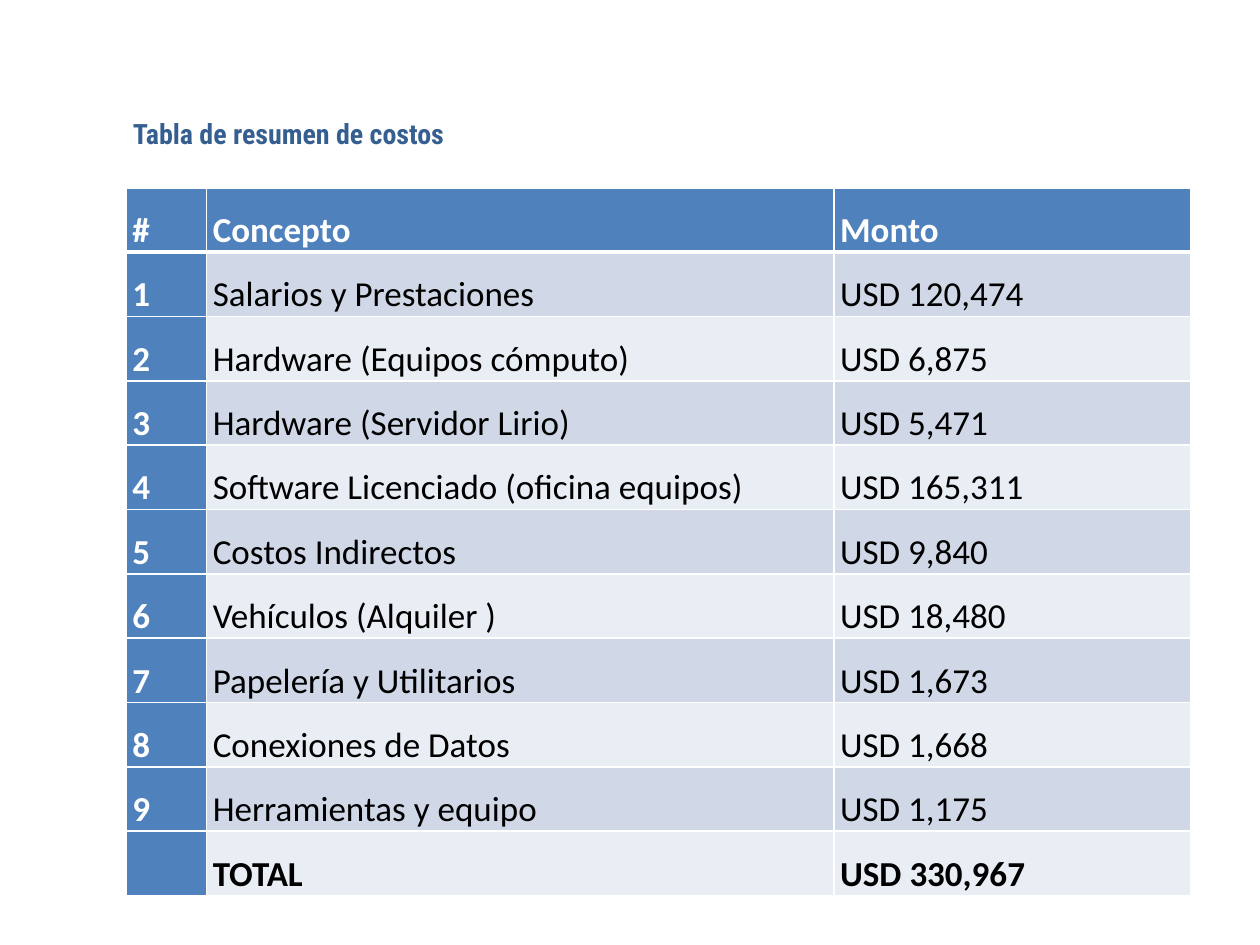
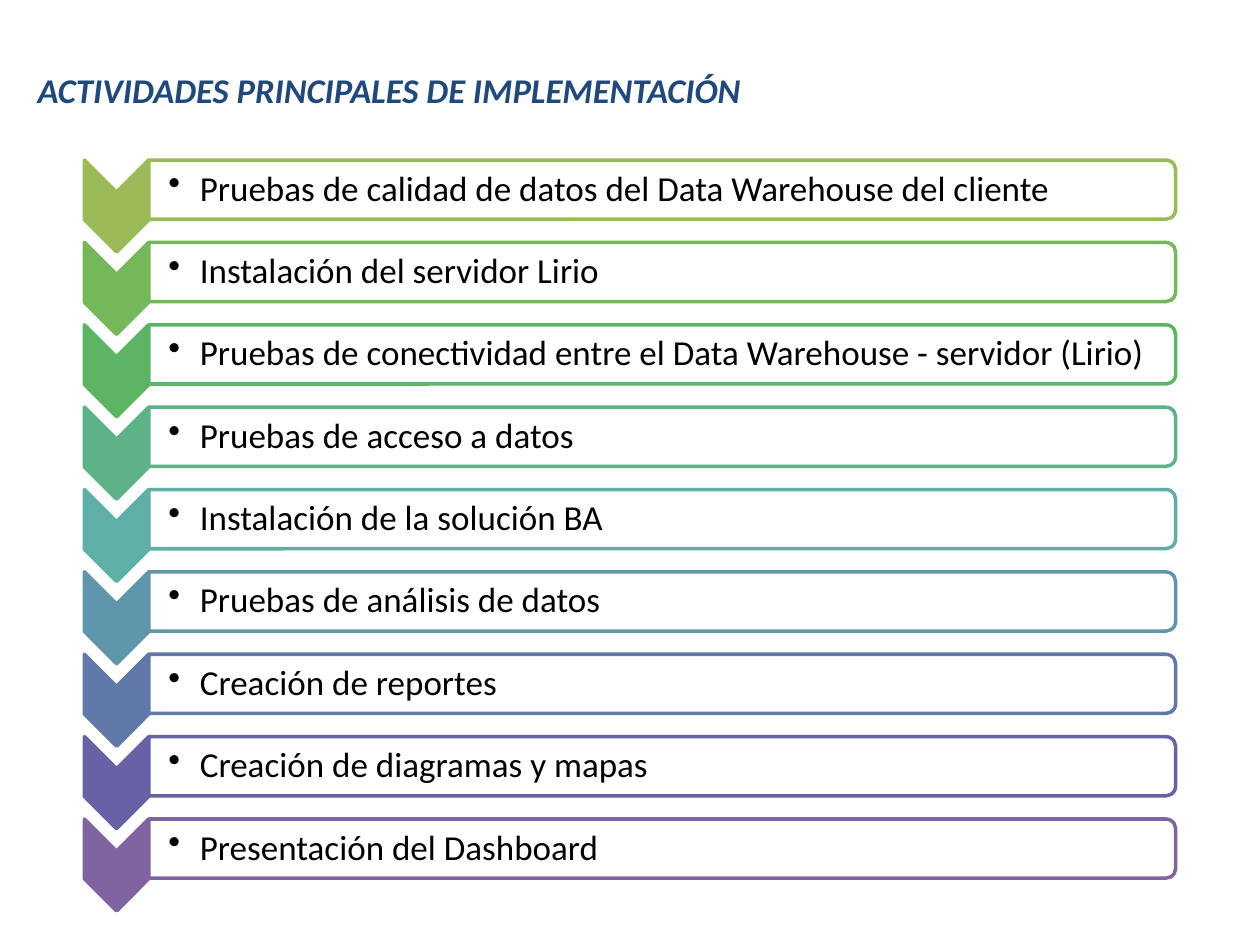
import pptx
import pptx.dml.color
import pptx.enum.shapes
import pptx.enum.text
import pptx.oxml
import pptx.oxml.ns
import pptx.util

Pt = pptx.util.Pt
SHAPES = pptx.enum.shapes.MSO_SHAPE
ANCHOR = pptx.enum.text.MSO_ANCHOR
ALIGN = pptx.enum.text.PP_ALIGN

BODY_FONT = "Calibri"
BODY_SIZE = 20
WHITE, BLACK = "FFFFFF", "000000"
HEADER_BLUE = "4F81BD"
BANDS = ("D0D8E8", "E9EDF4")

COST_TITLE = "Tabla de resumen de costos"
COST_ROWS = [
    ("#", "Concepto", "Monto"),
    ("1", "Salarios y Prestaciones", "USD 120,474"),
    ("2", "Hardware (Equipos cómputo)", "USD 6,875"),
    ("3", "Hardware (Servidor Lirio)", "USD 5,471"),
    ("4", "Software Licenciado (oficina equipos)", "USD 165,311"),
    ("5", "Costos Indirectos", "USD 9,840"),
    ("6", "Vehículos (Alquiler )", "USD 18,480"),
    ("7", "Papelería y Utilitarios", "USD 1,673"),
    ("8", "Conexiones de Datos", "USD 1,668"),
    ("9", "Herramientas y equipo", "USD 1,175"),
    ("", "TOTAL", "USD 330,967"),
]
COST_WIDTHS = (46, 358.5, 204)
COST_LEFT, COST_TOP, COST_ROW_HEIGHT = 72, 107.3, 36

ACTIVITY_TITLE = "ACTIVIDADES PRINCIPALES DE IMPLEMENTACIÓN"
ACTIVITIES = [
    ("Pruebas de calidad de datos del Data Warehouse del cliente", "9BBB59"),
    ("Instalación del servidor Lirio", "75B85A"),
    ("Pruebas de conectividad entre el Data Warehouse - servidor (Lirio)", "5CB565"),
    ("Pruebas de acceso a datos", "5DB287"),
    ("Instalación de la solución BA", "5EAFA6"),
    ("Pruebas de análisis de datos", "6096AC"),
    ("Creación de reportes", "6179A8"),
    ("Creación de diagramas y mapas", "6762A5"),
    ("Presentación del Dashboard", "8064A2"),
]
ACTIVITY_STEP = 47.07
BAR_CENTER_X, BAR_CENTER_Y = 378.4, 108.4
BAR_LENGTH, BAR_THICKNESS = 586.8, 33.84
CHEVRON_CENTER_X, CHEVRON_DROP = 66.6, 9.35
CHEVRON_LENGTH, CHEVRON_WIDTH = 52.56, 36.72
LABEL_LEFT, LABEL_WIDTH, LABEL_HEIGHT = 85, 585.5, 31


def color(hex_value):
    return pptx.dml.color.RGBColor.from_string(hex_value)


def format_runs(paragraph, size, hex_value, font=BODY_FONT, bold=False, italic=False):
    for run in paragraph.runs:
        run.font.name = font
        run.font.size = Pt(size)
        run.font.bold = bold
        run.font.italic = italic
        run.font.color.rgb = color(hex_value)


def set_margins(target, left, top, right, bottom):
    target.margin_left, target.margin_top = Pt(left), Pt(top)
    target.margin_right, target.margin_bottom = Pt(right), Pt(bottom)


def add_titled_slide(presentation, text, left, top, size, hex_value, **style):
    slide = presentation.slides.add_slide(presentation.slide_layouts[5])
    title = slide.shapes.title
    title.left, title.top = Pt(left), Pt(top)
    title.width, title.height = Pt(620), Pt(26)
    text_frame = title.text_frame
    text_frame.text = text
    text_frame.auto_size = pptx.enum.text.MSO_AUTO_SIZE.NONE
    text_frame.vertical_anchor = ANCHOR.MIDDLE
    set_margins(text_frame, 0, 0, 0, 0)
    paragraph = text_frame.paragraphs[0]
    paragraph.alignment = ALIGN.LEFT
    format_runs(paragraph, size, hex_value, bold=True, **style)
    return slide


def set_borders(cell, top, bottom):
    properties = cell._tc.get_or_add_tcPr()
    for side, width in (("L", 1), ("R", 1), ("T", top), ("B", bottom)):
        properties.append(pptx.oxml.parse_xml(
            f'<a:ln{side} {pptx.oxml.ns.nsdecls("a")} w="{Pt(width)}">'
            f'<a:solidFill><a:srgbClr val="{WHITE}"/></a:solidFill></a:ln{side}>'))


def fill_cost_cell(cell, text, row, column):
    is_header = row == 0 or column == 0
    is_total = row == len(COST_ROWS) - 1
    set_borders(cell, 3 if row == 1 else 1, 3 if row == 0 else 1)
    cell.fill.solid()
    cell.fill.fore_color.rgb = color(HEADER_BLUE if is_header else BANDS[(row - 1) % 2])
    cell.vertical_anchor = ANCHOR.BOTTOM
    set_margins(cell, 3.6, 0, 3.6, 0)
    cell.text_frame.text = text
    paragraph = cell.text_frame.paragraphs[0]
    paragraph.alignment = ALIGN.JUSTIFY
    paragraph.line_spacing = 1.5
    format_runs(paragraph, BODY_SIZE, WHITE if is_header else BLACK, bold=is_header or is_total)


def add_cost_table(slide):
    table = slide.shapes.add_table(
        len(COST_ROWS), len(COST_WIDTHS), Pt(COST_LEFT), Pt(COST_TOP),
        Pt(sum(COST_WIDTHS)), Pt(COST_ROW_HEIGHT * len(COST_ROWS))).table
    for column, width in zip(table.columns, COST_WIDTHS):
        column.width = Pt(width)
    for row, texts in enumerate(COST_ROWS):
        table.rows[row].height = Pt(COST_ROW_HEIGHT)
        for column, text in enumerate(texts):
            fill_cost_cell(table.cell(row, column), text, row, column)


def add_turned_shape(slide, kind, center_x, center_y, width, height, fill, line):
    shape = slide.shapes.add_shape(
        kind, Pt(center_x - width / 2), Pt(center_y - height / 2), Pt(width), Pt(height))
    shape.rotation = 90
    shape.shadow.inherit = False
    shape.fill.solid()
    shape.fill.fore_color.rgb = color(fill)
    shape.line.color.rgb = color(line)
    shape.line.width = Pt(2)


def add_bullet(paragraph):
    properties = paragraph._p.get_or_add_pPr()
    properties.set("marL", str(Pt(18)))
    properties.set("indent", str(Pt(-18)))
    properties.append(pptx.oxml.parse_xml(
        f'<a:buChar {pptx.oxml.ns.nsdecls("a")} char="•"/>'))


def add_activity_label(slide, text, center_y):
    label = slide.shapes.add_textbox(
        Pt(LABEL_LEFT), Pt(center_y - LABEL_HEIGHT / 2), Pt(LABEL_WIDTH), Pt(LABEL_HEIGHT))
    text_frame = label.text_frame
    text_frame.word_wrap = True
    text_frame.vertical_anchor = ANCHOR.MIDDLE
    set_margins(text_frame, 11.2, 0.9, 0.9, 0.9)
    text_frame.text = text
    paragraph = text_frame.paragraphs[0]
    paragraph.line_spacing = 0.9
    add_bullet(paragraph)
    format_runs(paragraph, BODY_SIZE, BLACK)


def add_activity_list(slide):
    for index, (text, accent) in enumerate(ACTIVITIES):
        center_y = BAR_CENTER_Y + index * ACTIVITY_STEP
        add_turned_shape(slide, SHAPES.CHEVRON, CHEVRON_CENTER_X, center_y + CHEVRON_DROP,
                         CHEVRON_LENGTH, CHEVRON_WIDTH, accent, accent)
        add_turned_shape(slide, SHAPES.ROUND_2_SAME_RECTANGLE, BAR_CENTER_X, center_y,
                         BAR_THICKNESS, BAR_LENGTH, WHITE, accent)
        add_activity_label(slide, text, center_y)


def main():
    presentation = pptx.Presentation()
    presentation.slide_width, presentation.slide_height = Pt(720), Pt(540)
    cost_slide = add_titled_slide(
        presentation, COST_TITLE, 76, 63, 16, "365F91", font="Roboto Condensed")
    add_cost_table(cost_slide)
    activity_slide = add_titled_slide(
        presentation, ACTIVITY_TITLE, 21.5, 38, 19.8, "1F497D", italic=True)
    add_activity_list(activity_slide)
    presentation.save("out.pptx")


if __name__ == "__main__":
    main()
